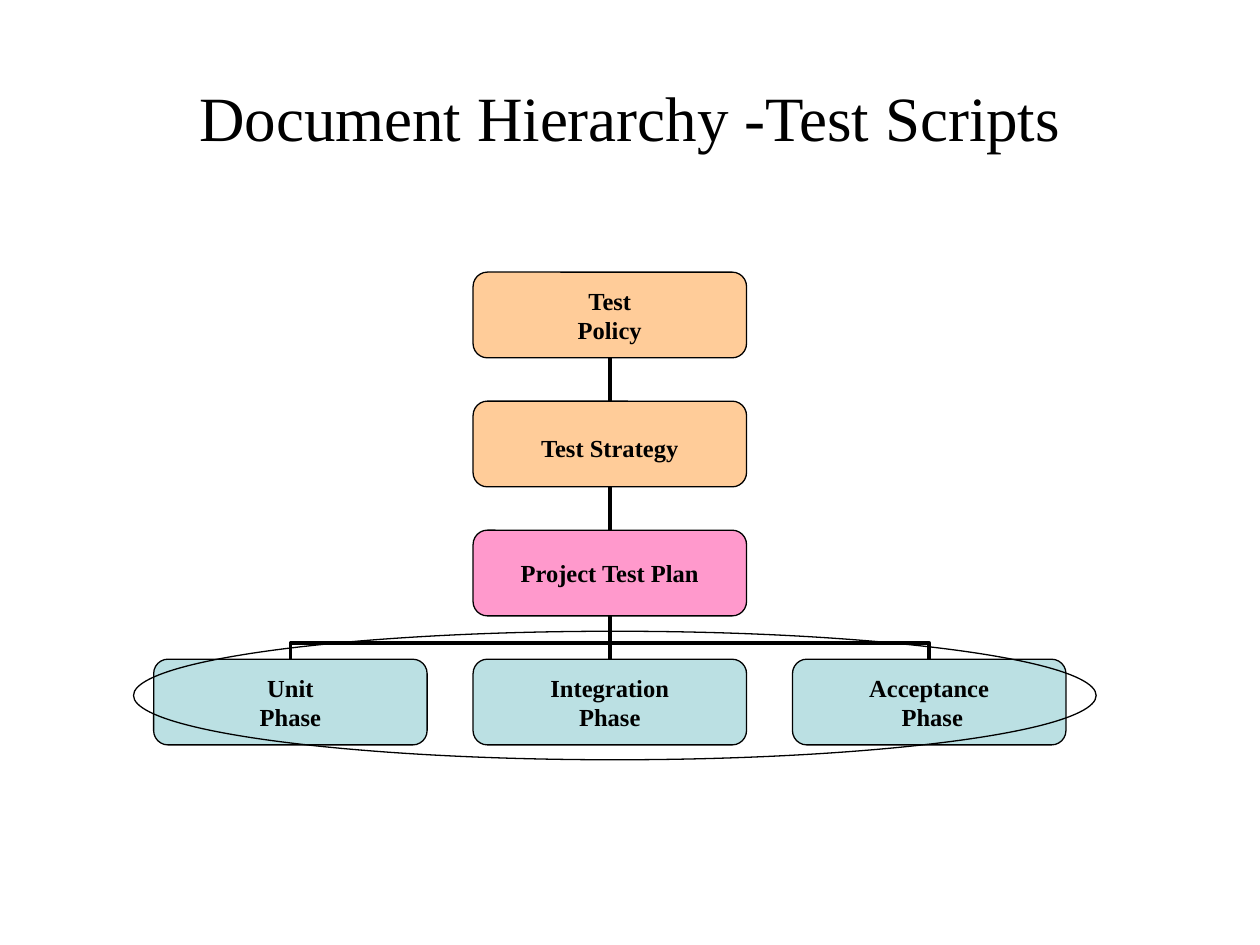
from lxml.etree import SubElement
from pptx import Presentation
from pptx.dml.color import RGBColor
from pptx.enum.shapes import MSO_CONNECTOR, MSO_SHAPE
from pptx.enum.text import MSO_ANCHOR, PP_ALIGN
from pptx.oxml.ns import qn
from pptx.util import Inches, Pt

BLACK = RGBColor(0x00, 0x00, 0x00)
ORANGE = RGBColor(0xFF, 0xCC, 0x99)
PINK = RGBColor(0xFF, 0x99, 0xCC)
TEAL = RGBColor(0xBB, 0xE0, 0xE3)
FONT = "Times New Roman"

TITLE = "Document Hierarchy -Test Scripts"
# lines, fill, space before the first line (pt), top inset (in)
CHAIN = [
    (["Test", "Policy"], ORANGE, 3, 0),
    (["Test Strategy"], ORANGE, 3, 0.06),
    (["Project Test Plan"], PINK, 3, 0),
]
PHASES = [
    (["Unit", "Phase"], TEAL, 3, 0),
    (["Integration", "Phase"], TEAL, 0, 0),
    (["Acceptance", " Phase"], TEAL, 3, 0),
]

BOX_W, BOX_H = 2.17, 0.68
CENTER_X, TOP = 4.84, 2.16
COLUMN_STEP, ROW_STEP = 2.535, 1.024
GAP = ROW_STEP - BOX_H
BEND = 36700  # share of the elbow before its bend, in 1/100000


def write(frame, lines, size, bold=False, space_before=0):
    frame.word_wrap = True
    frame.vertical_anchor = MSO_ANCHOR.MIDDLE
    for i, line in enumerate(lines):
        paragraph = frame.paragraphs[0] if i == 0 else frame.add_paragraph()
        paragraph.alignment = PP_ALIGN.CENTER
        paragraph.space_before = Pt(0 if i else space_before)
        run = paragraph.add_run()
        run.text = line
        run.font.name = FONT
        run.font.size = Pt(size)
        run.font.bold = bold
        run.font.color.rgb = BLACK


def outline(shape):
    shape.shadow.inherit = False
    shape.line.color.rgb = BLACK
    shape.line.width = Pt(0.75)


def add_box(slide, center_x, top, lines, fill, space_before, top_inset):
    box = slide.shapes.add_shape(
        MSO_SHAPE.ROUNDED_RECTANGLE, Inches(center_x - BOX_W / 2), Inches(top),
        Inches(BOX_W), Inches(BOX_H))
    outline(box)
    box.fill.solid()
    box.fill.fore_color.rgb = fill
    frame = box.text_frame
    frame.margin_left = frame.margin_right = frame.margin_bottom = 0
    frame.margin_top = Inches(top_inset)
    write(frame, lines, 14, True, space_before)


def add_link(slide, kind, x1, y1, x2, y2):
    link = slide.shapes.add_connector(
        kind, Inches(x1), Inches(y1), Inches(x2), Inches(y2))
    link.line.color.rgb = BLACK
    link.line.width = Pt(2.25)
    properties = link._element.spPr
    SubElement(properties, qn("a:effectLst"))
    return properties


def add_branch(slide, child_x, child_top):
    """Elbow from a child's top to the parent's bottom, leaving vertically."""
    side = 1 if child_x > CENTER_X else -1
    middle_x, middle_y = (child_x + CENTER_X) / 2, child_top - GAP / 2
    half_run, half_rise = abs(child_x - CENTER_X) / 2, GAP / 2
    properties = add_link(
        slide, MSO_CONNECTOR.ELBOW,
        middle_x - side * half_rise, middle_y + half_run,
        middle_x + side * half_rise, middle_y - half_run)
    quarter_turns = 3 if side > 0 else 1
    properties.find(qn("a:xfrm")).set("rot", str(quarter_turns * 90 * 60000))
    geometry = properties.find(qn("a:prstGeom"))
    guides = geometry.find(qn("a:avLst"))
    if guides is None:
        guides = SubElement(geometry, qn("a:avLst"))
    SubElement(guides, qn("a:gd"), name="adj1", fmla=f"val {BEND}")


def main():
    deck = Presentation()
    deck.slide_width, deck.slide_height = Inches(10), Inches(7.5)
    slide = deck.slides.add_slide(deck.slide_layouts[6])

    title = slide.shapes.add_textbox(
        Inches(0.5), Inches(0.21), Inches(9), Inches(1.43))
    write(title.text_frame, [TITLE], 36)

    row_tops = [TOP + i * ROW_STEP for i in range(len(CHAIN) + 1)]
    phase_top = row_tops[-1]
    phase_xs = [CENTER_X + (i - 1) * COLUMN_STEP for i in range(len(PHASES))]

    for top in row_tops[1:]:
        add_link(slide, MSO_CONNECTOR.STRAIGHT, CENTER_X, top, CENTER_X, top - GAP)
    for x in (phase_xs[0], phase_xs[-1]):
        add_branch(slide, x, phase_top)
    for top, document in zip(row_tops, CHAIN):
        add_box(slide, CENTER_X, top, *document)
    for x, phase in zip(phase_xs, PHASES):
        add_box(slide, x, phase_top, *phase)

    highlight = slide.shapes.add_shape(
        MSO_SHAPE.OVAL, Inches(1.06), Inches(5.01), Inches(7.64), Inches(1.02))
    outline(highlight)
    highlight.fill.background()

    deck.save("out.pptx")


if __name__ == "__main__":
    main()
